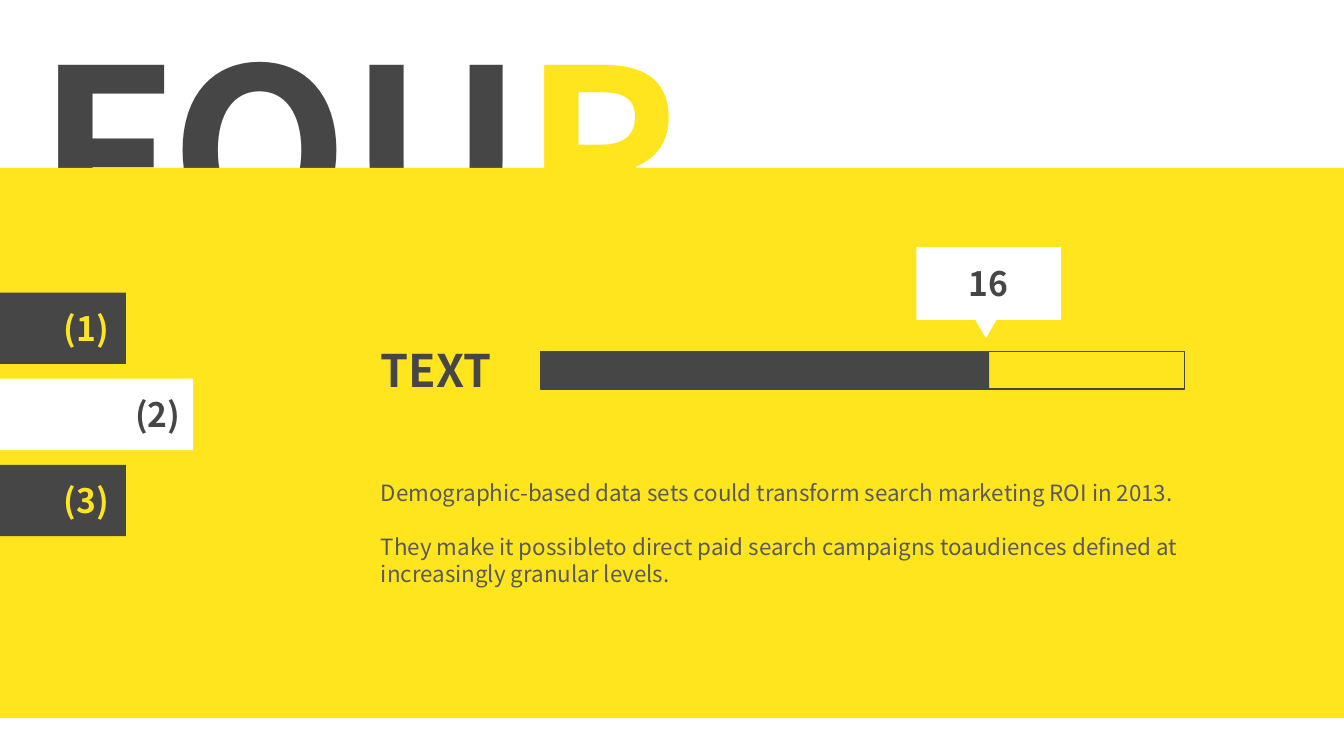
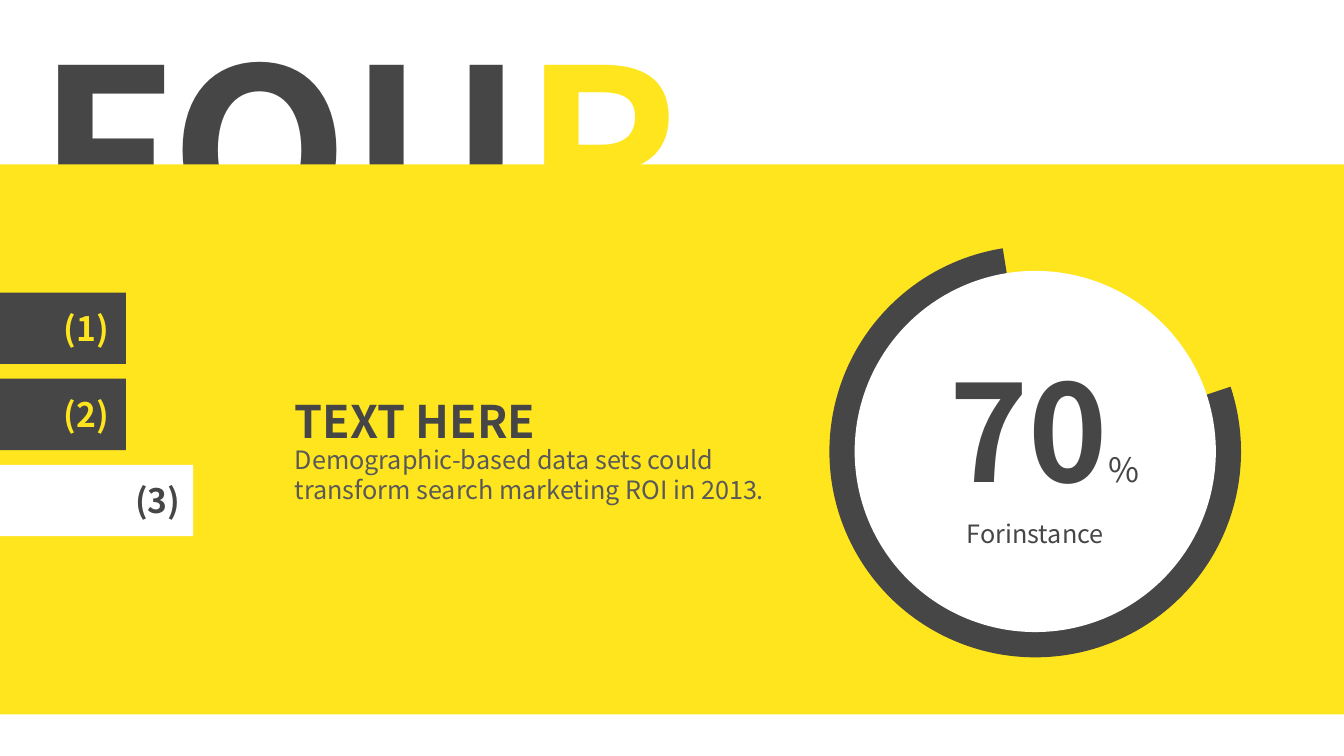
from dataclasses import dataclass

from pptx import Presentation
from pptx.dml.color import RGBColor
from pptx.enum.shapes import MSO_SHAPE
from pptx.enum.text import MSO_ANCHOR, MSO_AUTO_SIZE, PP_ALIGN
from pptx.util import Pt


@dataclass(frozen=True)
class Theme:
    font: str = "Noto Sans CJK SC"
    dark: str = "464646"
    yellow: str = "FFE51E"
    white: str = "FFFFFF"
    grey: str = "595959"
    title: int = 166
    figure: int = 96
    heading: int = 32
    label: int = 24
    body: int = 18
    small: int = 16


T = Theme()
WIDTH, HEIGHT = 960, 540
TAB_TOP, TAB_STEP, TAB_HEIGHT = 209, 61.5, 51


class Deck:
    def __init__(self):
        self.prs = Presentation()
        self.prs.slide_width, self.prs.slide_height = Pt(WIDTH), Pt(HEIGHT)
        self.s = None

    def slide(self, band_top, active_tab):
        self.s = self.prs.slides.add_slide(self.prs.slide_layouts[5])
        self.title("FOU", "R")
        self.shape(MSO_SHAPE.RECTANGLE, (0, band_top, WIDTH, 393), T.yellow)
        self.tabs(active_tab)

    def title(self, start, accent):
        sp = self.s.shapes.title
        sp.left, sp.top, sp.width, sp.height = Pt(19.5), Pt(0), Pt(501), Pt(208)
        tf = sp.text_frame
        tf.auto_size = MSO_AUTO_SIZE.NONE
        tf.vertical_anchor = MSO_ANCHOR.TOP
        p = tf.paragraphs[0]
        p.alignment = PP_ALIGN.LEFT
        self.run(p, start, T.title, T.dark, True)
        self.run(p, accent, T.title, T.yellow, True)

    def tabs(self, active):
        for i in range(3):
            on = i + 1 == active
            sp = self.shape(
                MSO_SHAPE.RECTANGLE,
                (0, TAB_TOP + i * TAB_STEP, 138 if on else 90, TAB_HEIGHT),
                T.white if on else T.dark)
            tf = sp.text_frame
            tf.margin_right = Pt(9 if on else 12)
            p = tf.paragraphs[0]
            p.alignment = PP_ALIGN.RIGHT
            self.run(p, f"({i + 1})", T.label, T.dark if on else T.yellow, True)

    def shape(self, kind, box, fill=None, line=None, parent=None):
        sp = (parent or self.s).shapes.add_shape(kind, *map(Pt, box))
        sp.shadow.inherit = False
        if fill:
            sp.fill.solid()
            sp.fill.fore_color.rgb = RGBColor.from_string(fill)
        else:
            sp.fill.background()
        if line:
            sp.line.color.rgb = RGBColor.from_string(line)
            sp.line.width = Pt(1)
        else:
            sp.line.fill.background()
        return sp

    def run(self, p, text, size, color, bold=False):
        r = p.add_run()
        r.text = text
        f = r.font
        f.name, f.size, f.bold = T.font, Pt(size), bold
        f.color.rgb = RGBColor.from_string(color)

    def text(self, box, lines, size, color, bold=False, gap=0):
        """Add a text box with one paragraph per line, gap points apart."""
        tf = self.s.shapes.add_textbox(*map(Pt, box)).text_frame
        tf.word_wrap = True
        for i, line in enumerate(lines):
            p = tf.add_paragraph() if i else tf.paragraphs[0]
            if i:
                p.space_before = Pt(gap)
            self.run(p, line, size, color, bold)
        return tf.paragraphs[0]

    def centred(self, box, text, size, bold=False):
        """Add one centred line with the fixed pitch used in the dial."""
        p = self.text(box, [text], size, T.dark, bold)
        p.alignment = PP_ALIGN.CENTER
        p.line_spacing = Pt(60)
        return p

    def progress(self, left, top, width, height, done):
        group = self.s.shapes.add_group_shape()
        self.shape(MSO_SHAPE.RECTANGLE, (left, top, done, height), T.dark,
                   parent=group)
        self.shape(MSO_SHAPE.RECTANGLE, (left, top, width, height),
                   line=T.dark, parent=group)

    def callout(self, left, top, width, height, text):
        group = self.s.shapes.add_group_shape()
        pointer = self.shape(
            MSO_SHAPE.ISOSCELES_TRIANGLE,
            (left + width / 2 - 24.5, top + height - 26, 45, 39), T.white,
            parent=group)
        pointer.rotation = 180
        sp = self.shape(MSO_SHAPE.RECTANGLE, (left, top, width, height), T.white,
                        parent=group)
        self.run(sp.text_frame.paragraphs[0], text, T.label, T.dark, True)

    def dial(self, left, top, size, ring):
        arc = self.shape(MSO_SHAPE.BLOCK_ARC, (left, top, size, size), T.dark)
        arc.rotation = 285.9
        for i, value in enumerate((33.44, 201.01, 0.07)):
            arc.adjustments[i] = value
        inner = size - 2 * ring
        self.shape(MSO_SHAPE.OVAL, (left + ring, top + ring, inner, inner), T.white)


def main():
    d = Deck()

    d.slide(band_top=120, active_tab=2)
    d.text((265, 241, 112, 46), ["TEXT"], T.heading, T.dark, True)
    d.progress(386, 251, 460, 27, done=320.5)
    d.callout(654.5, 176.5, 103.5, 52, "16")
    d.text((265, 339, 646, 104), [
        "Demographic-based data sets could transform search marketing ROI in 2013.",
        "They make it possibleto direct paid search campaigns toaudiences "
        "defined at increasingly granular levels.",
    ], T.small, T.grey, gap=19)

    d.slide(band_top=117.4, active_tab=3)
    d.text((203.5, 278, 222, 46), ["TEXT HERE"], T.heading, T.dark, True)
    d.dial(592.5, 175.5, 294, ring=18)
    d.text((203.5, 314, 379.5, 51), [
        "Demographic-based data sets could transform search marketing ROI in 2013.",
    ], T.body, T.grey)
    p = d.centred((506, 300, 480, 76), "70", T.figure, True)
    d.run(p, "%", T.label, T.dark)
    d.centred((674, 328.5, 131, 68), "Forinstance", T.body)

    d.prs.save("out.pptx")


if __name__ == "__main__":
    main()
